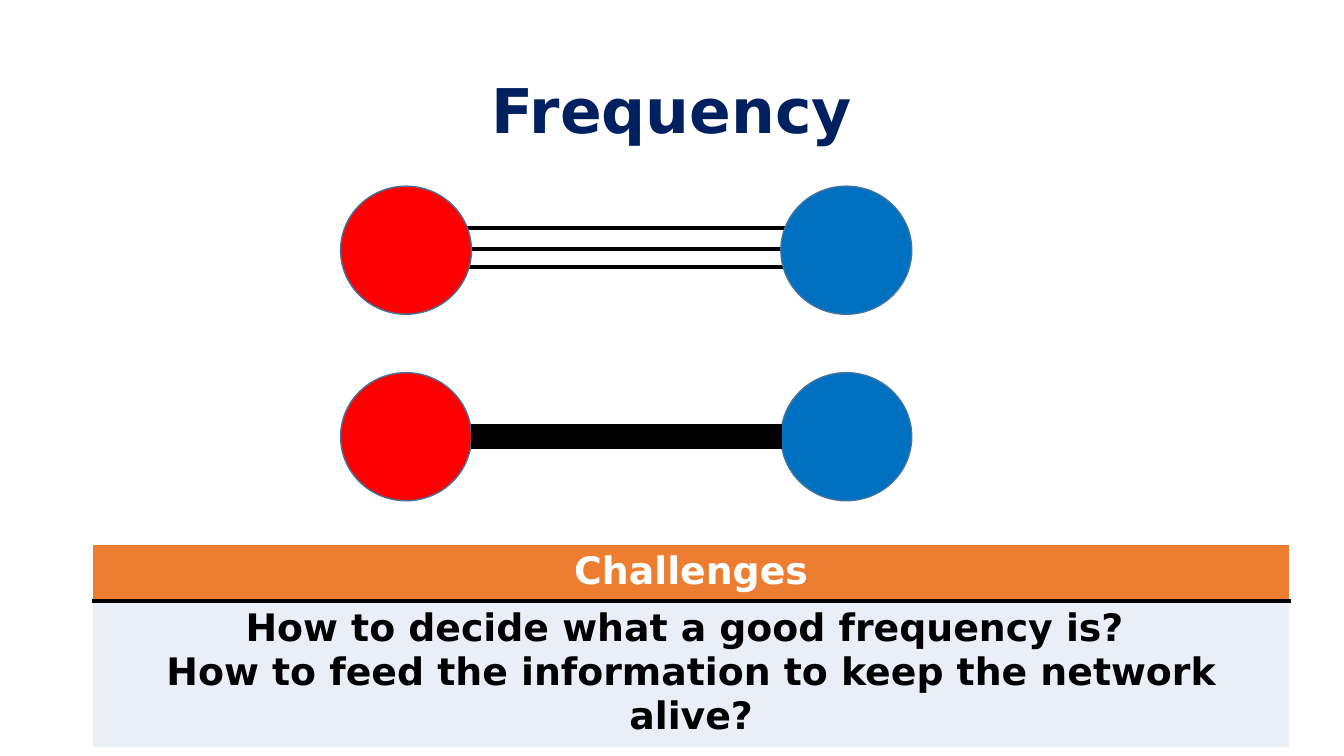
from dataclasses import dataclass

from lxml import etree
from pptx import Presentation
from pptx.dml.color import RGBColor
from pptx.enum.shapes import MSO_CONNECTOR, MSO_SHAPE
from pptx.enum.text import MSO_ANCHOR, PP_ALIGN
from pptx.oxml.ns import qn
from pptx.util import Pt

OVAL = MSO_SHAPE.OVAL
STRAIGHT = MSO_CONNECTOR.STRAIGHT
MIDDLE = MSO_ANCHOR.MIDDLE
CENTER = PP_ALIGN.CENTER


@dataclass(frozen=True)
class Theme:
    font: str = "DejaVu Sans"
    title_size: int = 44
    table_size: int = 27
    navy: str = "002060"
    red: str = "FF0000"
    blue: str = "0070C0"
    outline: str = "43739E"
    orange: str = "ED7D31"
    pale: str = "EAEFF7"
    black: str = "000000"
    white: str = "FFFFFF"


THEME = Theme()

NODE_WIDTH, NODE_HEIGHT = 93.5, 91.5
RED_LEFT, BLUE_LEFT = 243.3, 557.8
ROW_TOPS = (133, 266.2)
THIN_LINKS = ((335.5, 558, 177.8), (328, 565, 162.7), (332, 569.5, 190.8))
THICK_LINK = (336.7, 558.7, 311.8)


def rgb(value):
    return RGBColor.from_string(value)


def write_text(frame, lines, *, size, color, spacing=1.0):
    """Fill a text frame with bold, centred paragraphs."""
    frame.word_wrap = True
    for index, line in enumerate(lines):
        para = frame.paragraphs[0] if index == 0 else frame.add_paragraph()
        para.alignment = CENTER
        para.line_spacing = spacing
        span = para.add_run()
        span.text = line
        span.font.name = THEME.font
        span.font.size = Pt(size)
        span.font.bold = True
        span.font.color.rgb = rgb(color)


def add_title(page, text):
    box = page.shapes.add_textbox(Pt(66), Pt(29), Pt(828), Pt(104))
    box.text_frame.vertical_anchor = MIDDLE
    write_text(box.text_frame, [text], size=THEME.title_size,
               color=THEME.navy, spacing=0.9)


def add_node(page, left, top, color):
    node = page.shapes.add_shape(OVAL, Pt(left), Pt(top),
                                 Pt(NODE_WIDTH), Pt(NODE_HEIGHT))
    node.shadow.inherit = False
    node.fill.solid()
    node.fill.fore_color.rgb = rgb(color)
    node.line.color.rgb = rgb(THEME.outline)
    node.line.width = Pt(1)


def add_link(page, start, end, height, width):
    """Draw a horizontal line between two nodes."""
    link = page.shapes.add_connector(STRAIGHT, Pt(start), Pt(height),
                                     Pt(end), Pt(height))
    link.line.color.rgb = rgb(THEME.black)
    link.line.width = Pt(width)
    etree.SubElement(link._element.spPr, qn("a:effectLst"))


def set_border(cell, side, color, width):
    """Add one border; side is the tag lnT or lnB."""
    border = etree.Element(qn(f"a:{side}"), w=str(Pt(width)))
    fill = etree.SubElement(border, qn("a:solidFill"))
    etree.SubElement(fill, qn("a:srgbClr"), val=color)
    cell._tc.get_or_add_tcPr().insert(0, border)


def add_challenges(page, rows):
    """Add the one-column table; rows hold height, fill, text colour, lines."""
    total = sum(row[0] for row in rows)
    table = page.shapes.add_table(len(rows), 1, Pt(66), Pt(388.8),
                                  Pt(855.4), Pt(total)).table
    for index, (height, fill, color, lines) in enumerate(rows):
        table.rows[index].height = Pt(height)
        cell = table.cell(index, 0)
        cell.fill.solid()
        cell.fill.fore_color.rgb = rgb(fill)
        write_text(cell.text_frame, lines, size=THEME.table_size, color=color)
    set_border(table.cell(0, 0), "lnB", THEME.black, 4)
    set_border(table.cell(1, 0), "lnT", THEME.black, 4)


def main():
    deck = Presentation()
    deck.slide_width, deck.slide_height = Pt(960), Pt(540)
    page = deck.slides.add_slide(deck.slide_layouts[6])

    add_title(page, "Frequency")
    for start, end, height in THIN_LINKS:
        add_link(page, start, end, height, 3)
    for top in ROW_TOPS:
        add_node(page, RED_LEFT, top, THEME.red)
        add_node(page, BLUE_LEFT, top, THEME.blue)
    add_link(page, *THICK_LINK, 18)
    add_challenges(page, [
        (40.5, THEME.orange, THEME.white, ["Challenges"]),
        (101.5, THEME.pale, THEME.black, [
            "How to decide what a good frequency is? ",
            "How to feed the information to keep the network alive?",
        ]),
    ])
    deck.save("out.pptx")


if __name__ == "__main__":
    main()
